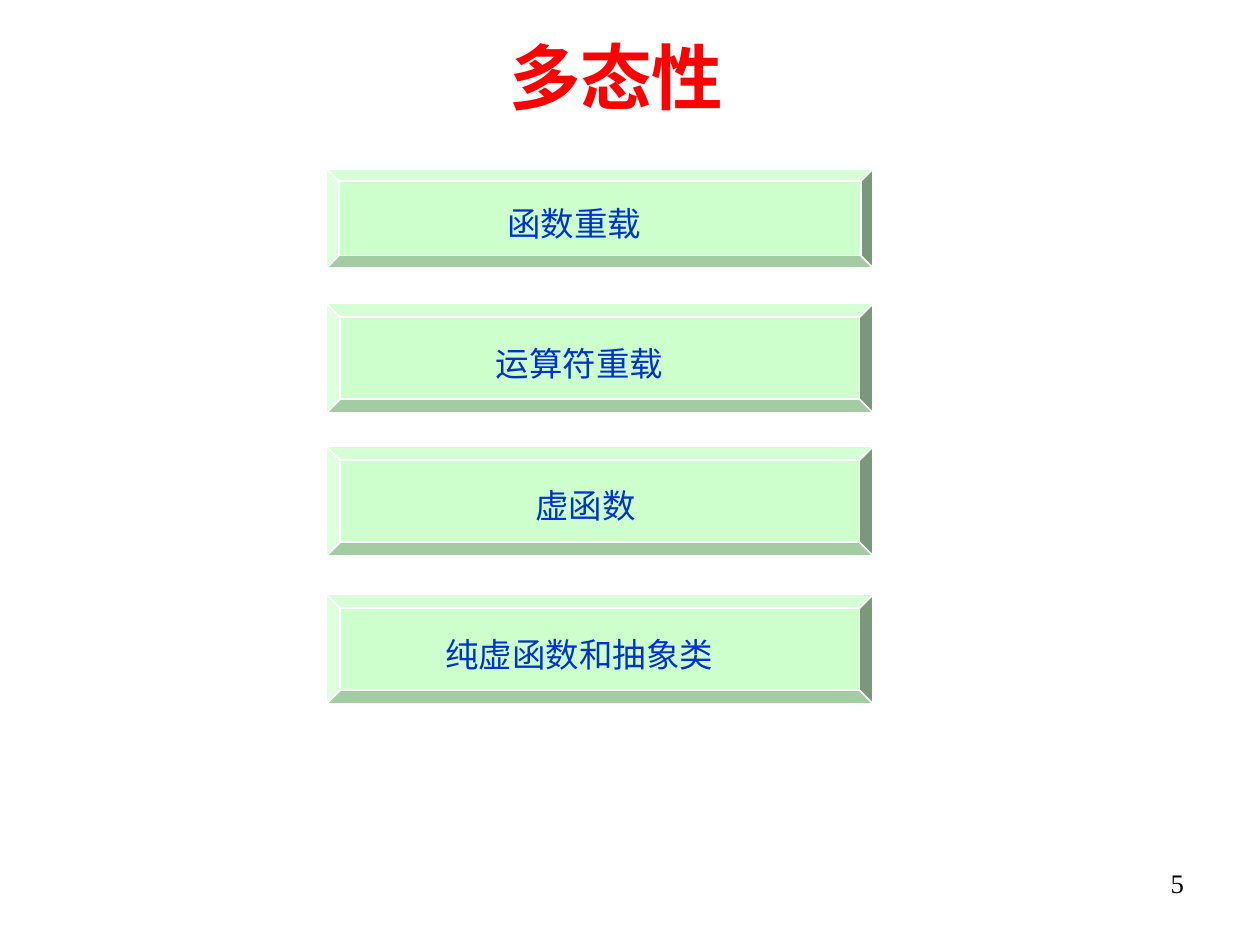
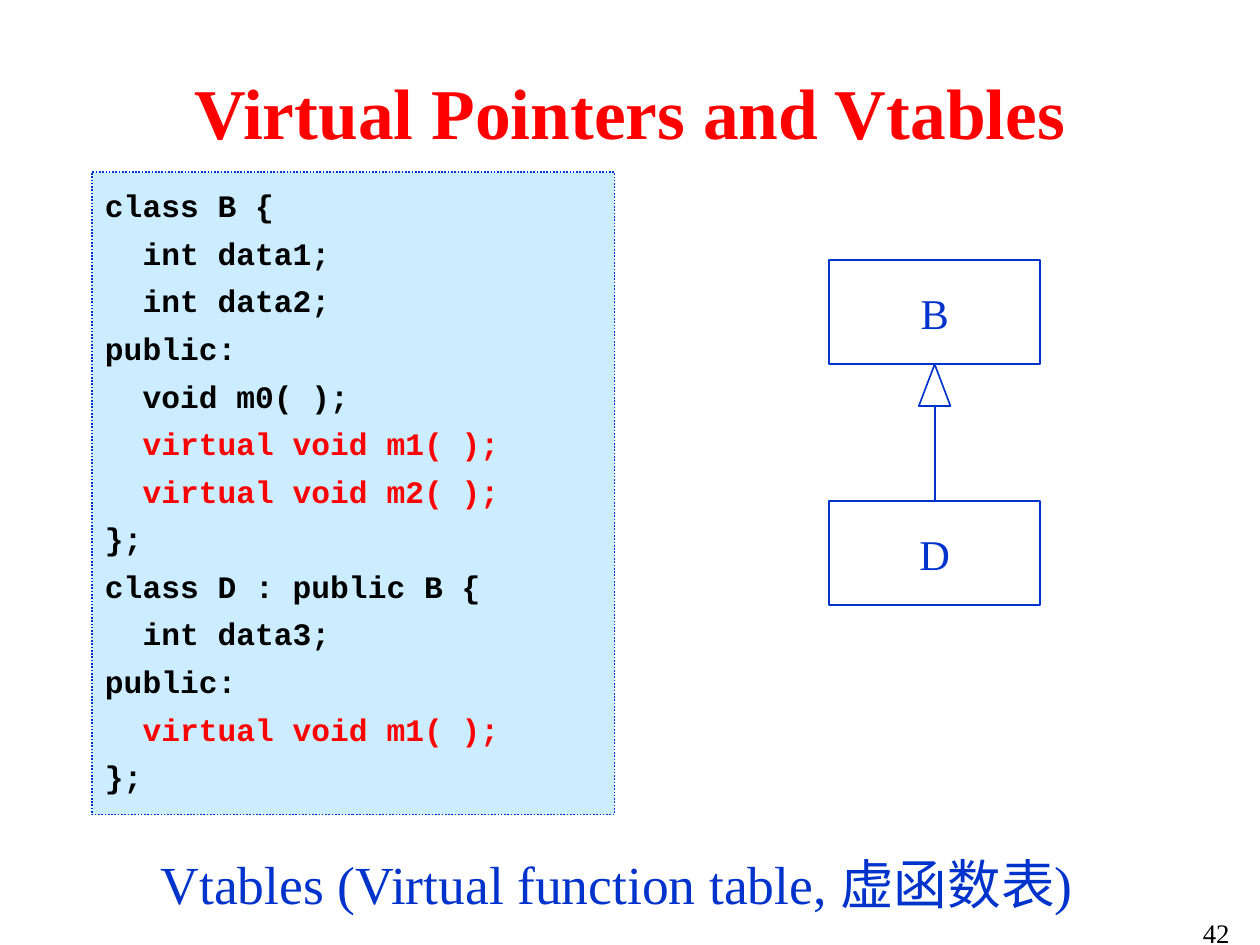
import pptx
import pptx.util
import pptx.dml.color
import pptx.enum.dml
import pptx.enum.shapes
import pptx.enum.text
import pptx.oxml
import pptx.oxml.ns

Cm = pptx.util.Cm
Pt = pptx.util.Pt
RGBColor = pptx.dml.color.RGBColor
Kind = pptx.enum.shapes.MSO_SHAPE
Align = pptx.enum.text.PP_ALIGN
Anchor = pptx.enum.text.MSO_ANCHOR

RED = RGBColor(0xFF, 0x00, 0x00)
BLUE = RGBColor(0x00, 0x33, 0xCC)
BLACK = RGBColor(0x00, 0x00, 0x00)
WHITE = RGBColor(0xFF, 0xFF, 0xFF)
GREEN = RGBColor(0xCC, 0xFF, 0xCC)
SKY = RGBColor(0xCC, 0xEC, 0xFF)
SERIF = "Times New Roman"
MONO = "Courier New"
HAN = "Noto Sans CJK SC"


def write(box, text, size, color, align=Align.CENTER, bold=False, face=SERIF,
          anchor=Anchor.MIDDLE, wrap=True):
    frame = box.text_frame
    frame.text = text
    frame.word_wrap = wrap
    frame.vertical_anchor = anchor
    frame.margin_left = frame.margin_right = Cm(0.21)
    frame.margin_top = frame.margin_bottom = Cm(0.11)
    for para in frame.paragraphs:
        para.alignment = align
        for run in para.runs:
            run.font.size = Pt(size)
            run.font.bold = bold
            run.font.color.rgb = color
            run.font.name = face
            east = pptx.oxml.parse_xml(
                f'<a:ea {pptx.oxml.ns.nsdecls("a")} typeface="{HAN}"/>')
            run.font._element.append(east)
    return frame


def draw(slide, kind, left, top, width, height, fill, edge):
    shape = slide.shapes.add_shape(kind, Cm(left), Cm(top), Cm(width), Cm(height))
    shape.shadow.inherit = False
    shape.fill.solid()
    shape.fill.fore_color.rgb = fill
    shape.line.color.rgb = edge
    shape.line.width = Pt(0.75)
    return shape


deck = pptx.Presentation()
deck.slide_width = Cm(19.91)
deck.slide_height = Cm(14.94)

heads = [
    ("多态性", (0.53, 0.41, 18.42, 1.57), "5", (14.27, 13.59, 4.65, 1.04)),
    ("Virtual Pointers and Vtables", (1.5, 0.97, 16.92, 1.57),
     "42", (14.66, 14.38, 4.98, 1.04)),
]
slides = []
for title, place, page, foot in heads:
    slide = deck.slides.add_slide(deck.slide_layouts[6])
    box = slide.shapes.add_textbox(*map(Cm, place))
    write(box, title, 32, RED, bold=True)
    box = slide.shapes.add_textbox(*map(Cm, foot))
    write(box, page, 12, BLACK, align=Align.RIGHT, anchor=Anchor.TOP)
    slides.append(slide)
first, second = slides

bars = [
    ("函数重载", 2.67, 1.57, 1.02),
    ("运算符重载", 4.8, 1.73, 0.86),
    ("虚函数", 7.06, 1.73, 0.66),
    ("纯虚函数和抽象类", 9.4, 1.73, 0.86),
]
for text, top, height, right in bars:
    bar = draw(first, Kind.BEVEL, 5.16, top, 8.64, height, GREEN, WHITE)
    bar.adjustments[0] = 0.125
    frame = write(bar, text, 15, BLUE, face=HAN)
    frame.margin_right = Cm(right)
    frame.margin_top = Cm(0.25)

code = """class B {
  int data1;
  int data2;
public:
  void m0( );
  virtual void m1( );
  virtual void m2( );
};
class D : public B {
  int data3;
public:
  virtual void m1( );
};"""
panel = draw(second, Kind.RECTANGLE, 1.45, 2.72, 8.26, 10.16, SKY, BLUE)
panel.line.dash_style = pptx.enum.dml.MSO_LINE.ROUND_DOT
frame = write(panel, code, 14, BLACK, align=Align.LEFT, bold=True, face=MONO,
              anchor=Anchor.TOP)
frame.margin_top = Cm(0.23)
for para in frame.paragraphs[1:]:
    para.space_before = Pt(4.5)
    if "virtual" in para.text:
        para.runs[0].font.color.rgb = RED

nodes = []
for name, top in (("B", 4.11), ("D", 7.92)):
    node = draw(second, Kind.RECTANGLE, 13.1, top, 3.34, 1.65, WHITE, BLUE)
    write(node, name, 19, BLUE)
    nodes.append(node)
base, child = nodes

tip = draw(second, Kind.ISOSCELES_TRIANGLE, 14.52, 5.76, 0.5, 0.66, WHITE, BLUE)
mid = tip.left + tip.width // 2
link = second.shapes.add_connector(
    pptx.enum.shapes.MSO_CONNECTOR.STRAIGHT,
    mid, child.top, mid, tip.top + tip.height)
link.begin_connect(child, 0)
link.line.color.rgb = BLUE
link.line.width = Pt(0.75)
link._element.spPr.append(
    pptx.oxml.parse_xml(f'<a:effectLst {pptx.oxml.ns.nsdecls("a")}/>'))

box = second.shapes.add_textbox(Cm(2.33), Cm(13.35), Cm(15.37), Cm(1.27))
write(box, "Vtables (Virtual function table, 虚函数表)", 24, BLUE,
      align=Align.LEFT, anchor=Anchor.TOP, wrap=False)

deck.save("out.pptx")
